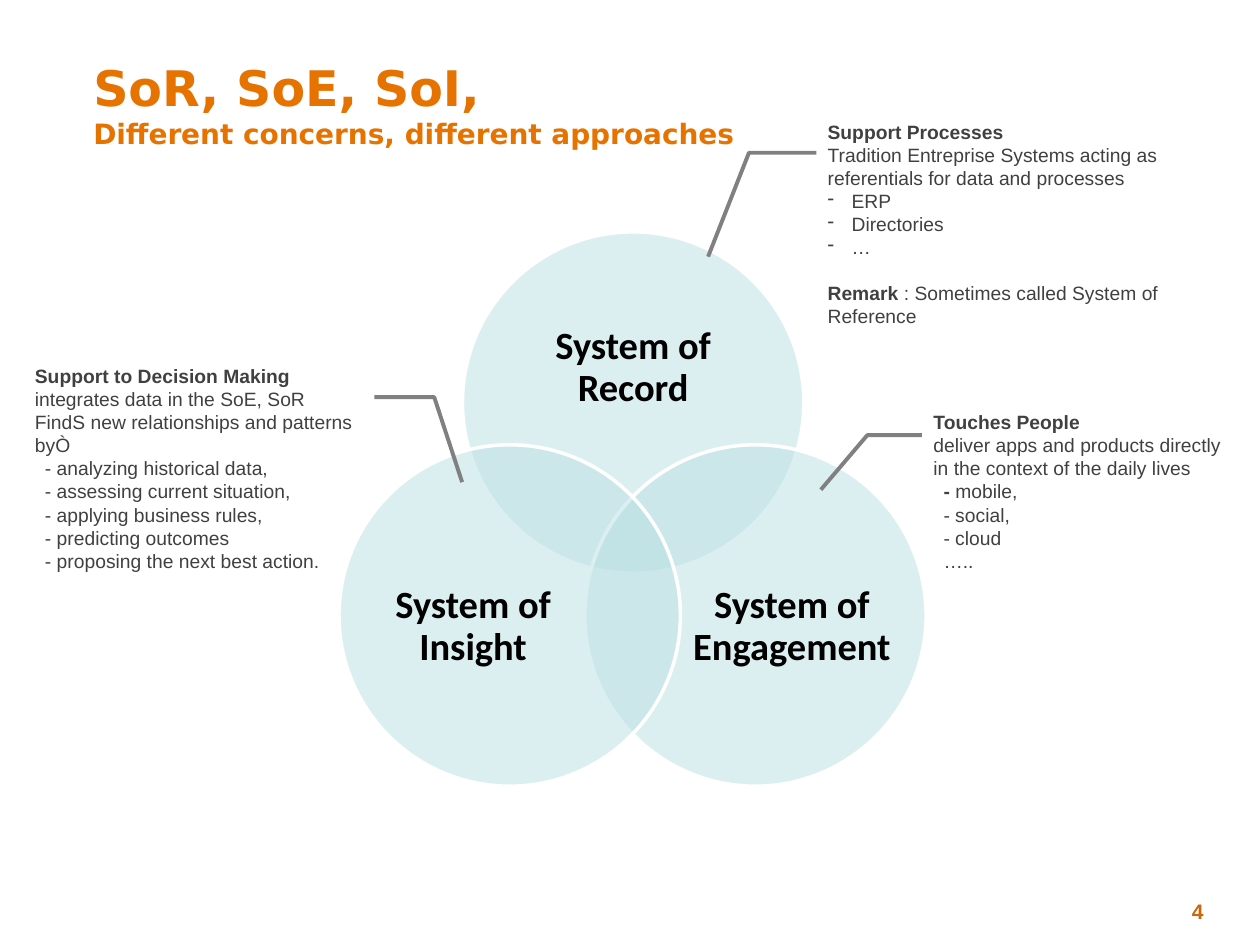
from dataclasses import dataclass

from lxml.etree import SubElement
from pptx import Presentation
from pptx.dml.color import RGBColor
from pptx.enum.shapes import MSO_SHAPE
from pptx.enum.text import MSO_ANCHOR as Anchor, PP_ALIGN as Align
from pptx.oxml.ns import qn
from pptx.util import Inches, Pt

ORANGE = RGBColor(0xE6, 0x73, 0x00)
RUST = RGBColor(0xCC, 0x66, 0x0B)
AQUA = RGBColor(0xBB, 0xE0, 0xE3)
WHITE = RGBColor(0xFF, 0xFF, 0xFF)
BLACK = RGBColor(0, 0, 0)
GRAY = RGBColor(0x80, 0x80, 0x80)
CHARCOAL = RGBColor(0x40, 0x40, 0x40)

DIAMETER = 2.71
CIRCLES = [
    ("System of Record", (3.67, 1.84), (4.03, 2.31, 1.99, 1.22)),
    ("System of Engagement", (4.64, 3.53), (5.47, 4.23, 1.63, 1.49)),
    ("System of Insight", (2.69, 3.53), (2.94, 4.23, 1.63, 1.49)),
]


@dataclass
class Line:
    text: str = ""
    bold: str = ""
    left: float = 0
    bullet: str = ""
    gap: float = 0


def dashes(*texts):
    return [Line(text, left=0.08) for text in texts]


def bullets(*texts):
    return [Line(text, left=0.19, bullet="-") for text in texts]


INSIGHT = [
    Line(bold="Support to Decision Making"),
    Line("integrates data in the SoE, SoR"),
    Line("FindS new relationships and patterns byÒ"),
    *dashes("- analyzing historical data,", "- assessing current situation,",
            "- applying business rules,", "- predicting outcomes",
            "- proposing the next best action."),
]
RECORD = [
    Line(bold="Support Processes"),
    Line("Tradition Entreprise Systems acting as referentials for data and processes"),
    *bullets("ERP", "Directories", "…"),
    Line(" : Sometimes called System of Reference", bold="Remark", gap=13),
]
ENGAGEMENT = [
    Line(bold="Touches People"),
    Line("deliver apps and products directly in the context of the daily lives"),
    Line("mobile,", bold="- ", left=0.08),
    *dashes("- social,", "- cloud\v….."),
]
CALLOUTS = [
    ((0.18, 2.82, 2.8, 1.77), (0.569, -0.246), True, INSIGHT),
    ((6.47, 0.88, 3.15, 1.77), (0.654, -0.27), False, RECORD),
    ((7.31, 3.19, 2.55, 1.4), (0.498, -0.312), False, ENGAGEMENT),
]


class SlideBuilder:
    """Holds the text style and the current slide."""

    def __init__(self, page):
        self.page = page

    def style(self, span, size, color, font="Arial", bold=True):
        span.font.name = font
        span.font.size = Pt(size)
        span.font.bold = bold
        span.font.color.rgb = color

    def title(self, heading, subtitle):
        box = self.page.shapes.title
        box.left, box.top, box.width, box.height = map(Inches, (0.64, 0.61, 9.17, 0.63))
        frame = box.text_frame
        frame.vertical_anchor = Anchor.BOTTOM
        frame.text = heading + "\v"
        para = frame.paragraphs[0]
        para.alignment = Align.LEFT
        para.line_spacing = 1.0
        para.space_before = Pt(0)
        para.add_run().text = subtitle
        for span, size in zip(para.runs, (28, 16)):
            self.style(span, size, ORANGE, "DejaVu Sans")

    def circle(self, left, top):
        disc = self.page.shapes.add_shape(
            MSO_SHAPE.OVAL, *map(Inches, (left, top, DIAMETER, DIAMETER)))
        disc.shadow.inherit = False
        disc.fill.solid()
        disc.fill.fore_color.rgb = AQUA
        color = disc.fill._xPr.find(qn("a:solidFill"))[0]
        SubElement(color, qn("a:alpha"), val="50000")
        disc.line.color.rgb = WHITE
        disc.line.width = Pt(2)

    def label(self, text, spot):
        frame = self.page.shapes.add_textbox(*map(Inches, spot)).text_frame
        frame.word_wrap = True
        frame.vertical_anchor = Anchor.MIDDLE
        frame.margin_left = frame.margin_right = frame.margin_top = frame.margin_bottom = 0
        frame.text = text
        para = frame.paragraphs[0]
        para.alignment = Align.CENTER
        para.line_spacing = 0.9
        self.style(para.runs[0], 22, BLACK, "Calibri")

    def callout(self, spot, tip, flipped, lines):
        box = self.page.shapes.add_shape(
            MSO_SHAPE.LINE_CALLOUT_2_NO_BORDER, *map(Inches, spot))
        box.shadow.inherit = False
        box.fill.background()
        box.line.color.rgb = GRAY
        box.line.width = Pt(2.25)
        for index, value in enumerate((0.188, 0.003, 0.188, -0.167, *tip)):
            box.adjustments[index] = value
        if flipped:
            box._element.spPr.find(qn("a:xfrm")).set("flipH", "1")
        frame = box.text_frame
        frame.word_wrap = True
        frame.vertical_anchor = Anchor.BOTTOM
        frame.text = "\n".join(line.bold or line.text for line in lines)
        for para, line in zip(frame.paragraphs, lines):
            self.format_line(para, line)

    def format_line(self, para, line):
        para.alignment = Align.LEFT
        para.space_before = Pt(line.gap)
        for span in para.runs:
            self.style(span, 11, CHARCOAL, bold=bool(line.bold))
        if line.bold and line.text:
            rest = para.add_run()
            rest.text = line.text
            self.style(rest, 11, CHARCOAL, bold=False)
        properties = para._p.get_or_add_pPr()
        properties.set("marL", str(Inches(line.left)))
        if line.bullet:
            properties.set("indent", str(-Inches(line.left)))
            SubElement(properties, qn("a:buChar"), char=line.bullet)

    def page_number(self, number):
        frame = self.page.shapes.add_textbox(
            *map(Inches, (9.3, 7.06, 0.7, 0.35))).text_frame
        frame.margin_left, frame.margin_top = Inches(0.16), Inches(0.07)
        frame.word_wrap = True
        frame.text = number
        self.style(frame.paragraphs[0].runs[0], 12, RUST)


def main():
    deck = Presentation()
    deck.slide_width, deck.slide_height = Inches(10), Inches(7.5)
    builder = SlideBuilder(deck.slides.add_slide(deck.slide_layouts[5]))
    for text, corner, spot in CIRCLES:
        builder.circle(*corner)
        builder.label(text, spot)
    builder.page_number("4")
    builder.title("SoR, SoE, SoI,", "Different concerns, different approaches")
    for callout in CALLOUTS:
        builder.callout(*callout)
    deck.save("out.pptx")


if __name__ == "__main__":
    main()
